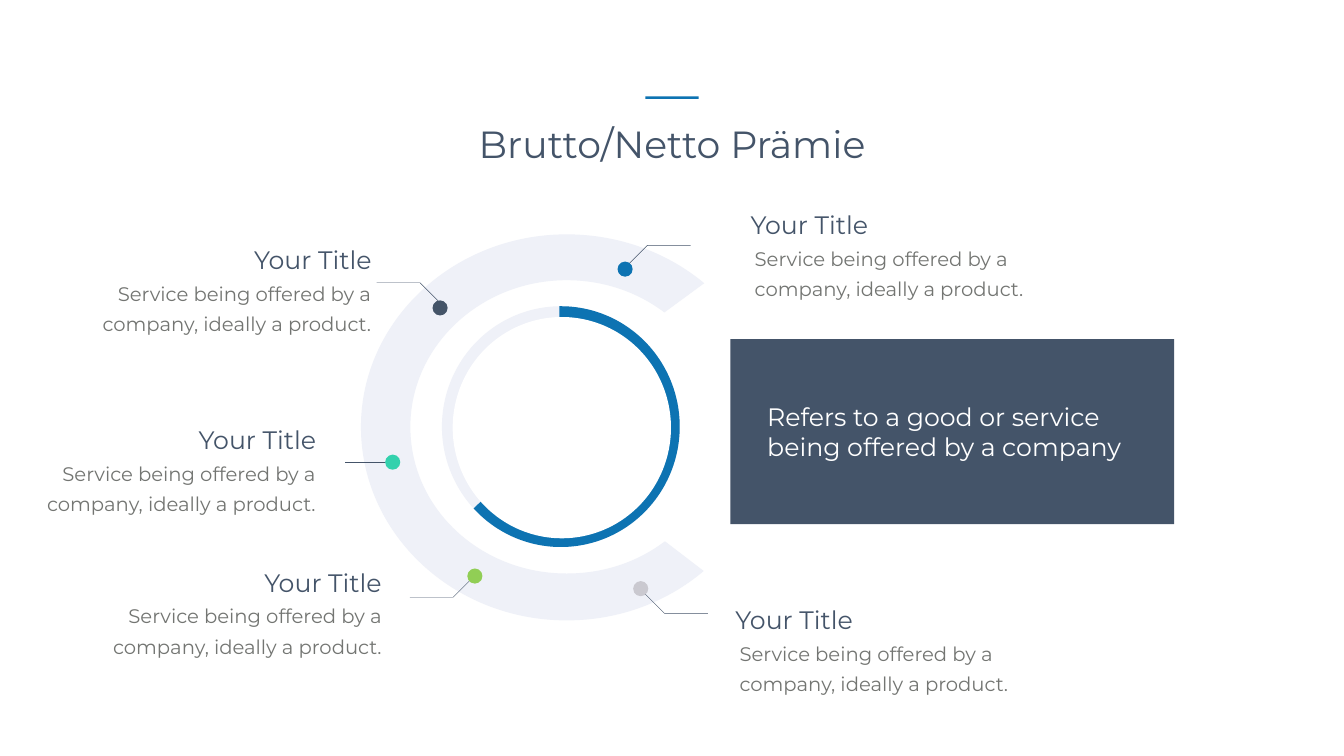
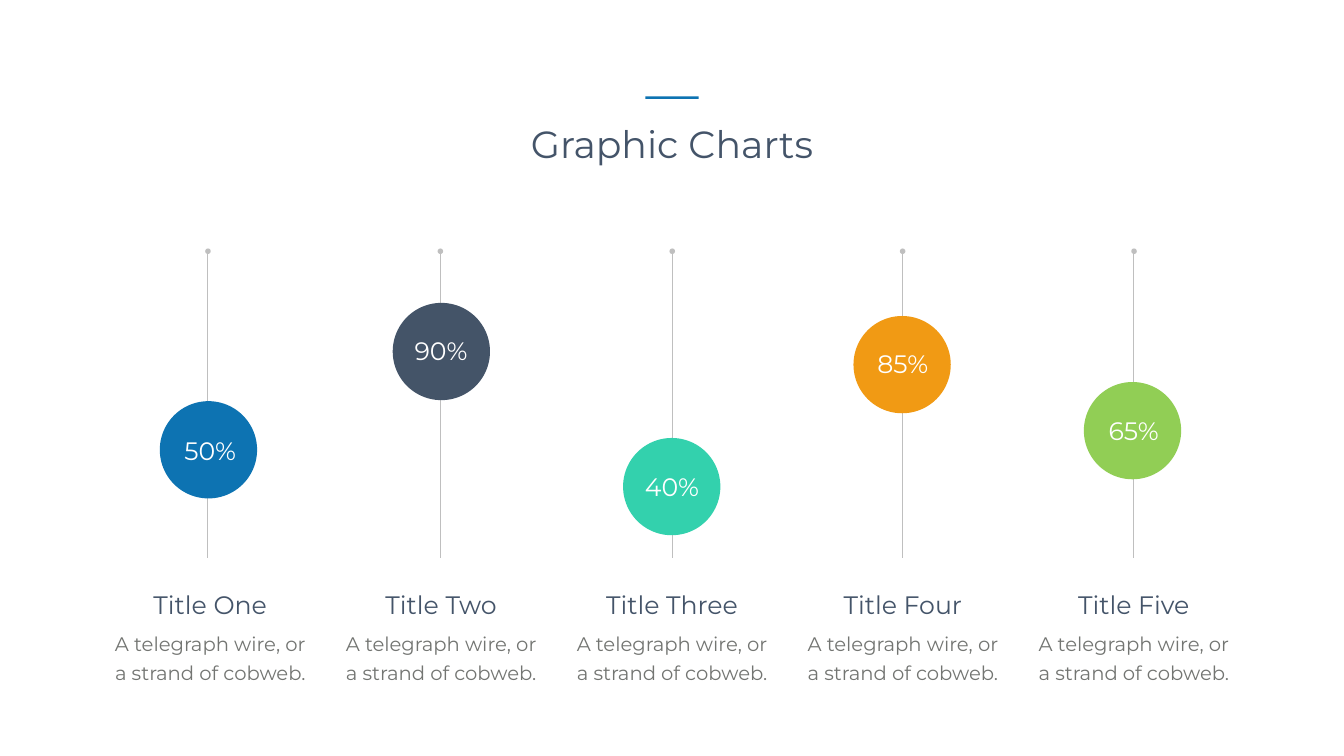
from dataclasses import dataclass

from lxml import etree
from pptx import Presentation
from pptx import util as u
from pptx.dml.color import RGBColor
from pptx.enum import shapes, text
from pptx.oxml.ns import qn


@dataclass(frozen=True)
class Theme:
    font: str = "Montserrat"
    slate: str = "445469"
    marker_slate: str = "445468"
    grey: str = "737572"
    pale: str = "EFF1F8"
    rule: str = "BFBFBF"
    silver: str = "CAC9D0"
    white: str = "FFFFFF"
    blue: str = "0D73B2"
    teal: str = "33D1AD"
    green: str = "91CE55"
    orange: str = "F19A14"
    title_size: int = 54
    heading_size: int = 36
    body_size: int = 28


theme = Theme()
Inches = u.Inches
LEFT, CENTER, RIGHT = text.PP_ALIGN.LEFT, text.PP_ALIGN.CENTER, text.PP_ALIGN.RIGHT
OVAL, RECTANGLE = shapes.MSO_SHAPE.OVAL, shapes.MSO_SHAPE.RECTANGLE


def add_text(slide, content, left, top, width, height, size=theme.heading_size,
             color=theme.slate, align=LEFT, wrap=True, spacing=None, inset=(0.1, 0.05)):
    box = slide.shapes.add_textbox(Inches(left), Inches(top), Inches(width), Inches(height))
    frame = box.text_frame
    frame.word_wrap = wrap
    frame.auto_size = text.MSO_AUTO_SIZE.SHAPE_TO_FIT_TEXT
    frame.margin_left = frame.margin_right = Inches(inset[0])
    frame.margin_top = frame.margin_bottom = Inches(inset[1])
    paragraph = frame.paragraphs[0]
    paragraph.alignment = align
    if spacing:
        paragraph.line_spacing = u.Pt(spacing)
    run = paragraph.add_run()
    run.text = content
    run.font.name = theme.font
    run.font.size = u.Pt(size)
    run.font.color.rgb = RGBColor.from_string(color)


def paint(shape, fill=None, line=None, width=1):
    if line:
        shape.line.color.rgb = RGBColor.from_string(line)
        shape.line.width = u.Pt(width)
    else:
        shape.line.fill.background()
    if hasattr(shape, "shadow"):
        shape.shadow.inherit = False
    else:
        etree.SubElement(shape._element.spPr, qn("a:effectLst"))
    if fill:
        shape.fill.solid()
        shape.fill.fore_color.rgb = RGBColor.from_string(fill)
    elif hasattr(shape, "fill"):
        shape.fill.background()


presentation = Presentation()
presentation.slide_width = Inches(26.66)
presentation.slide_height = Inches(15)

# Shared header: title under a short accent bar
slides = []
for title in ("Brutto/Netto Prämie", "Graphic Charts"):
    slide = presentation.slides.add_slide(presentation.slide_layouts[6])
    add_text(slide, title, 8.24, 2.34, 10.18, 1.01, size=theme.title_size, align=CENTER)
    paint(slide.shapes.add_shape(RECTANGLE, Inches(12.8), Inches(1.91),
                                 Inches(1.06), Inches(0.05)), theme.blue)
    slides.append(slide)
premium_slide, charts_slide = slides

# Premium slide: open ring; each edge is a start point and four curves
inner_edge = [(13.19, 10.74),
              (12.65, 11.15), (11.98, 11.38), (11.24, 11.38),
              (9.53, 11.38), (8.14, 10.09), (8.14, 8.47),
              (8.14, 6.87), (9.53, 5.56), (11.24, 5.56),
              (11.98, 5.56), (12.65, 5.8), (13.18, 6.2)]
outer_edge = [(13.97, 5.62),
              (13.25, 5.02), (12.29, 4.65), (11.24, 4.65),
              (8.99, 4.65), (7.16, 6.37), (7.16, 8.47),
              (7.16, 10.59), (8.99, 12.31), (11.24, 12.31),
              (12.29, 12.31), (13.24, 11.94), (13.96, 11.33)]
ring_points = [(Inches(x), Inches(y)) for x, y in inner_edge + outer_edge]
builder = premium_slide.shapes.build_freeform(*ring_points[0])
builder.add_line_segments(ring_points[1:], close=True)
ring = builder.convert_to_shape()
paint(ring, theme.pale)

# Turn every three segments of an edge into one curve, keeping the straight end
segments = list(ring._element.iter(qn("a:lnTo")))
curved = segments[:12] + segments[13:25]
for first in range(0, len(curved), 3):
    curve = etree.Element(qn("a:cubicBezTo"))
    curved[first].addprevious(curve)
    for segment in curved[first:first + 3]:
        curve.append(segment[0])
        segment.getparent().remove(segment)

# Bent leaders: start point, then horizontal and vertical direction
for x, y, across, down in ((12.41, 5.3, 1, -1), (12.75, 11.74, 1, 1),
                           (8.76, 6.04, -1, -1), (9.42, 11.42, -1, 1)):
    bend_y = y + 0.43 * down
    builder = premium_slide.shapes.build_freeform(Inches(x), Inches(y))
    builder.add_line_segments([(Inches(x + 0.43 * across), Inches(bend_y)),
                               (Inches(x + 1.29 * across), Inches(bend_y))], close=False)
    paint(builder.convert_to_shape(), line=theme.slate, width=0.6)
straight_leader = premium_slide.shapes.add_connector(
    shapes.MSO_CONNECTOR.STRAIGHT, Inches(7.8), Inches(9.17), Inches(6.84), Inches(9.17))
paint(straight_leader, line=theme.slate, width=0.6)

# Ring markers, by top left corner
for left, top, color in ((12.25, 5.19, theme.blue), (12.56, 11.53, theme.silver),
                         (8.58, 5.96, theme.marker_slate), (9.27, 11.28, theme.green),
                         (7.64, 9.02, theme.teal)):
    paint(premium_slide.shapes.add_shape(OVAL, Inches(left), Inches(top),
                                         Inches(0.3), Inches(0.3)), color)

# Captions: heading position, offset and width of the body below it
for left, top, align, body_shift, body_width in (
        (14.79, 4.11, LEFT, -0.06, 5.86), (14.49, 11.95, LEFT, -0.06, 5.86),
        (4.89, 4.8, RIGHT, -3.5, 6.21), (3.79, 8.37, RIGHT, -3.5, 6.21),
        (5.09, 11.2, RIGHT, -3.49, 6.21)):
    add_text(premium_slide, "Your Title", left, top, 2.58, 0.71, align=align, wrap=False)
    add_text(premium_slide, "Service being offered by a company, ideally a product.",
             left + body_shift, top + 0.54, body_width, 1.39, size=theme.body_size,
             color=theme.grey, align=align, spacing=43, inset=(0.24, 0.12))

# Statement panel
paint(premium_slide.shapes.add_shape(RECTANGLE, Inches(14.49), Inches(6.73),
                                     Inches(8.8), Inches(3.67)), theme.slate)
add_text(premium_slide, "Refers to a good or service being offered by a company",
         15.12, 7.91, 7.54, 1.31, color=theme.white)

# Progress dial: track, progress arc, white centre
dial = (Inches(8.94), Inches(6.25), Inches(4.37), Inches(4.43))
paint(premium_slide.shapes.add_shape(OVAL, *dial), theme.blue, theme.pale, 25)
progress = premium_slide.shapes.add_shape(shapes.MSO_SHAPE.ARC, *dial)
progress.adjustments[0] = 161.56
progress.adjustments[1] = 82.11
paint(progress, line=theme.blue, width=25)
paint(premium_slide.shapes.add_shape(OVAL, Inches(8.98), Inches(6.29),
                                     Inches(4.33), Inches(4.39)), theme.white)

# Charts slide: heading, value, axis x, knob left and top, value top, colour
column_step = 4.58
sliders = (("Title One", "50%", 4.12, 3.17, 7.96, 8.59, theme.blue),
           ("Title Two", "90%", 8.73, 7.79, 6.01, 6.6, theme.marker_slate),
           ("Title Three", "40%", 13.33, 12.36, 8.69, 9.3, theme.teal),
           ("Title Four", "85%", 17.9, 16.93, 6.27, 6.86, theme.orange),
           ("Title Five", "65%", 22.49, 21.5, 7.58, 8.2, theme.green))
for column, (heading, value, axis_x, knob_left, knob_top, value_top, color) in enumerate(sliders):
    shift = column * column_step
    axis = charts_slide.shapes.add_connector(shapes.MSO_CONNECTOR.STRAIGHT, Inches(axis_x),
                                             Inches(5), Inches(axis_x), Inches(11.08))
    paint(axis, line=theme.rule)
    for left, top, diameter, fill in ((axis_x - 0.05, 4.93, 0.11, theme.rule),
                                      (knob_left, knob_top, 1.93, color)):
        paint(charts_slide.shapes.add_shape(OVAL, Inches(left), Inches(top),
                                            Inches(diameter), Inches(diameter)), fill)
    add_text(charts_slide, value, 2.99 + shift, value_top, 2.36, 0.71,
             color=theme.white, align=CENTER)
    add_text(charts_slide, heading, 2.44 + shift, 11.64, 3.46, 0.71, align=CENTER)
    add_text(charts_slide, "A telegraph wire, or a strand of cobweb.", 2.08 + shift, 12.39,
             4.18, 1.23, size=theme.body_size, color=theme.grey, align=CENTER, spacing=40.8)

presentation.save("out.pptx")
